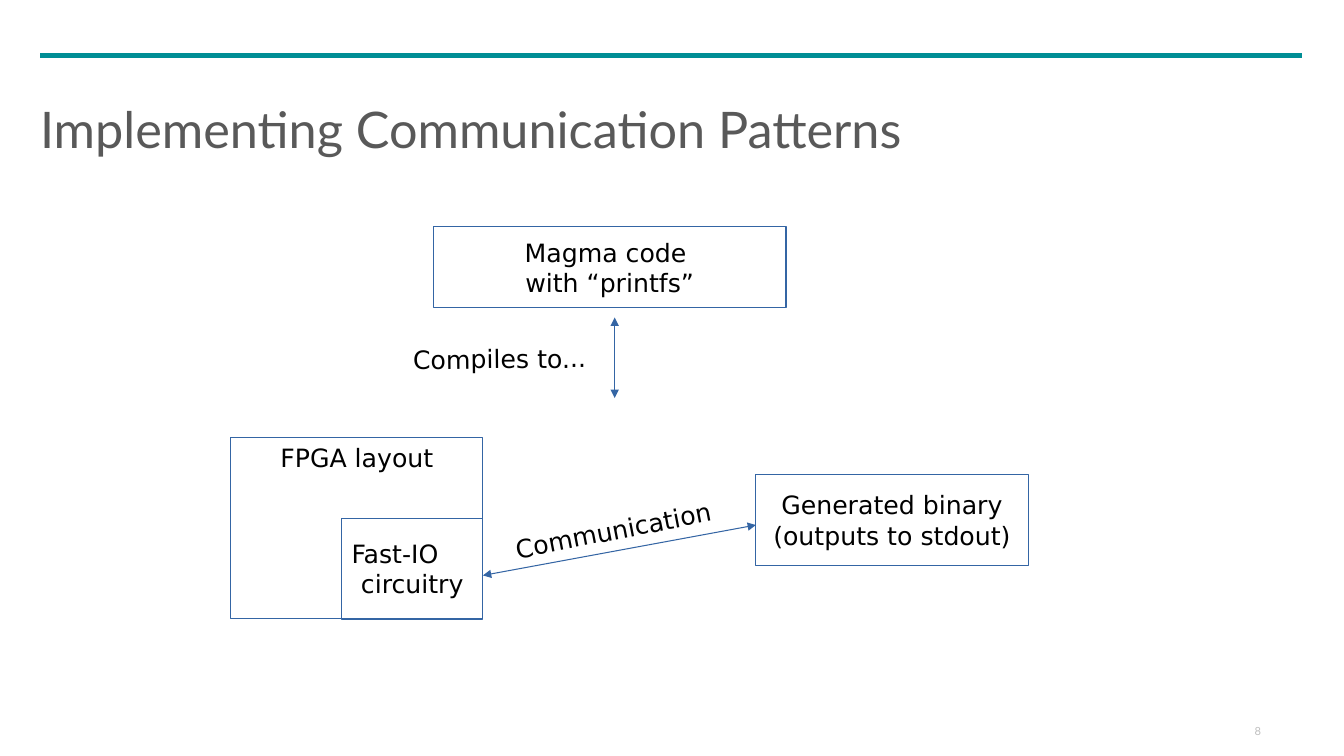
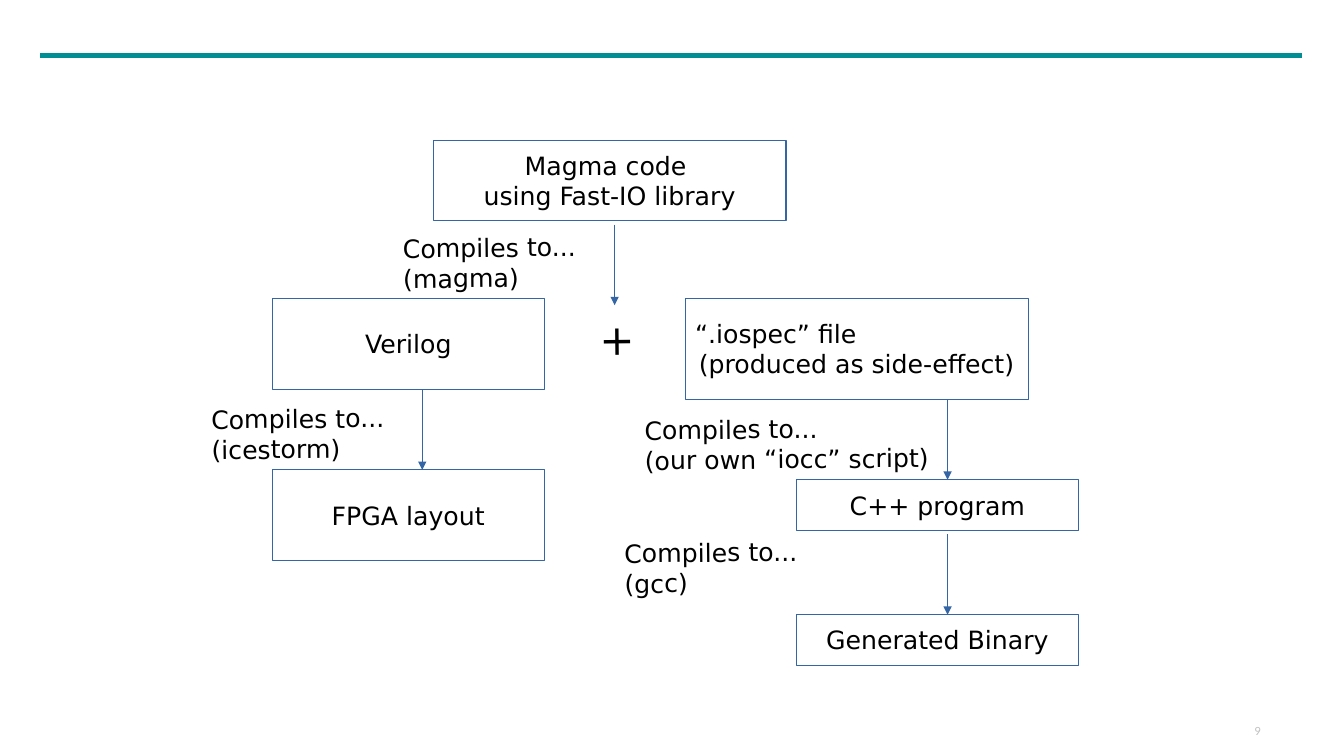
from dataclasses import dataclass

from lxml import etree
from pptx import Presentation
from pptx.dml.color import RGBColor
from pptx.enum.shapes import MSO_CONNECTOR, MSO_SHAPE
from pptx.enum.text import MSO_ANCHOR, PP_ALIGN
from pptx.oxml.ns import qn
from pptx.slide import Slide
from pptx.text.text import TextFrame
from pptx.util import Cm, Pt

LINE = MSO_CONNECTOR.STRAIGHT
RECT = MSO_SHAPE.RECTANGLE
TOP, MIDDLE = MSO_ANCHOR.TOP, MSO_ANCHOR.MIDDLE
LEFT, CENTER = PP_ALIGN.LEFT, PP_ALIGN.CENTER

# Shared style
TEAL = RGBColor(0x00, 0x8E, 0x95)
BLUE = RGBColor(0x34, 0x65, 0xA4)
BLACK = RGBColor(0x00, 0x00, 0x00)
GRAY = RGBColor(0x59, 0x59, 0x59)
PALE = RGBColor(0xBF, 0xBF, 0xBF)
HEAD_FONT, BODY_FONT = "Lato", "DejaVu Sans"
TILT = -0.6
DROP = 2.03  # length of every vertical arrow


@dataclass
class Box:
    text: str
    x: float
    y: float
    w: float
    h: float
    anchor: MSO_ANCHOR = MIDDLE
    lead: PP_ALIGN = CENTER  # alignment of the first line


@dataclass
class Label:
    text: str
    x: float
    y: float
    w: float
    h: float
    turn: float = TILT
    size: float = 18
    font: str = BODY_FONT
    color: RGBColor = BLACK
    anchor: MSO_ANCHOR = TOP
    wrap: bool = True


@dataclass
class Arrow:
    x: float
    y: float
    dx: float = 0
    dy: float = DROP
    both: bool = False


Part = Box | Label | Arrow


def write(frame: TextFrame, text: str, size: float, font: str,
          color: RGBColor, align: PP_ALIGN) -> None:
    frame.text = text
    for para in frame.paragraphs:
        para.alignment = align
        para.font.size = Pt(size)
        para.font.name = font
        para.font.color.rgb = color


def draw_line(slide: Slide, arrow: Arrow, color: RGBColor, width: float,
              tips: tuple[str, ...] = ()) -> None:
    line = slide.shapes.add_connector(
        LINE, Cm(arrow.x), Cm(arrow.y),
        Cm(arrow.x + arrow.dx), Cm(arrow.y + arrow.dy))
    line.line.color.rgb = color
    line.line.width = Pt(width)
    stroke = line.line._get_or_add_ln()
    for tip in tips:
        etree.SubElement(stroke, qn(tip), type="triangle")
    etree.SubElement(line._element.spPr, qn("a:effectLst"))


def draw_box(slide: Slide, box: Box) -> None:
    shape = slide.shapes.add_shape(
        RECT, Cm(box.x), Cm(box.y), Cm(box.w), Cm(box.h))
    shape.shadow.inherit = False
    shape.fill.background()
    shape.line.color.rgb = BLUE
    shape.line.width = Pt(0.75)
    frame = shape.text_frame
    frame.vertical_anchor = box.anchor
    frame.word_wrap = box.lead == LEFT
    write(frame, box.text, 18, BODY_FONT, BLACK, CENTER)
    frame.paragraphs[0].alignment = box.lead


def draw_label(slide: Slide, label: Label) -> None:
    shape = slide.shapes.add_textbox(
        Cm(label.x), Cm(label.y), Cm(label.w), Cm(label.h))
    shape.rotation = label.turn
    frame = shape.text_frame
    frame.word_wrap = label.wrap
    frame.vertical_anchor = label.anchor
    write(frame, label.text, label.size, label.font, label.color, LEFT)


def draw_part(slide: Slide, part: Part) -> None:
    if isinstance(part, Box):
        draw_box(slide, part)
    elif isinstance(part, Label):
        draw_label(slide, part)
    else:
        tips = ("a:headEnd", "a:tailEnd") if part.both else ("a:tailEnd",)
        draw_line(slide, part, BLUE, 0.75, tips)


def draw_frame(slide: Slide, number: int, title: str) -> None:
    draw_label(slide, Label(str(number), 31.37, 18.14, 2.08, 0.58, 0, 8,
                            HEAD_FONT, PALE, wrap=False))
    draw_line(slide, Arrow(1.02, 1.4, 31.8, 0), TEAL, 3.75)
    if title:
        draw_label(slide, Label(title, 0.76, 2.54, 31.75, 1.4, 0, 36,
                                HEAD_FONT, GRAY, MIDDLE))


# Slide content
PATTERN: list[Part] = [
    Box("Magma code \nwith “printfs”", 10.92, 5.72, 8.89, 2.03),
    Box("FPGA layout", 5.82, 11.02, 6.35, 4.57, TOP),
    Box("Fast-IO\ncircuitry", 8.61, 13.06, 3.56, 2.54, lead=LEFT),
    Box("Generated binary\n(outputs to stdout)", 19.05, 11.96, 6.86, 2.29),
    Arrow(12.17, 14.5, 6.88, -1.27, both=True),
    Label("Communication", 12.7, 12.85, 5.51, 0.99, -11.1),
    Arrow(15.49, 8, both=True),
    Label("Compiles to...", 10.16, 8.53, 4.88, 0.99),
]

CHAIN: list[Part] = [
    Box("Magma code \nusing Fast-IO library", 10.92, 3.53, 8.89, 2.03),
    Arrow(15.49, 5.66),
    Label("Compiles to...\n(magma)", 9.91, 5.72, 6.07, 2.54),
    Label("+", 14.86, 7.77, 1.4, 1.75, size=30),
    # Hardware branch
    Box("Verilog", 6.86, 7.52, 6.86, 2.29),
    Arrow(10.64, 9.81),
    Label("Compiles to...\n(icestorm)", 5.08, 10.03, 6.07, 2.54),
    Box("FPGA layout", 6.86, 11.84, 6.86, 2.29),
    # Software branch
    Box("“.iospec” file\n(produced as side-effect)",
        17.27, 7.52, 8.64, 2.54, lead=LEFT),
    Arrow(23.88, 10.06),
    Label("Compiles to...\n(our own “iocc” script)", 16, 10.29, 7.87, 2.54),
    Box("C++ program", 20.07, 12.09, 7.11, 1.27),
    Arrow(23.88, 13.46),
    Label("Compiles to...\n(gcc)", 15.49, 13.39, 7.87, 2.54),
    Box("Generated Binary", 20.07, 15.49, 7.11, 1.27),
]

PAGES = [("Implementing Communication Patterns", PATTERN), ("", CHAIN)]


def main() -> None:
    deck = Presentation()
    deck.slide_width, deck.slide_height = Cm(33.87), Cm(19.05)
    for number, (title, parts) in enumerate(PAGES, start=8):
        slide = deck.slides.add_slide(deck.slide_layouts[6])
        draw_frame(slide, number, title)
        for part in parts:
            draw_part(slide, part)
    deck.save("out.pptx")


if __name__ == "__main__":
    main()
